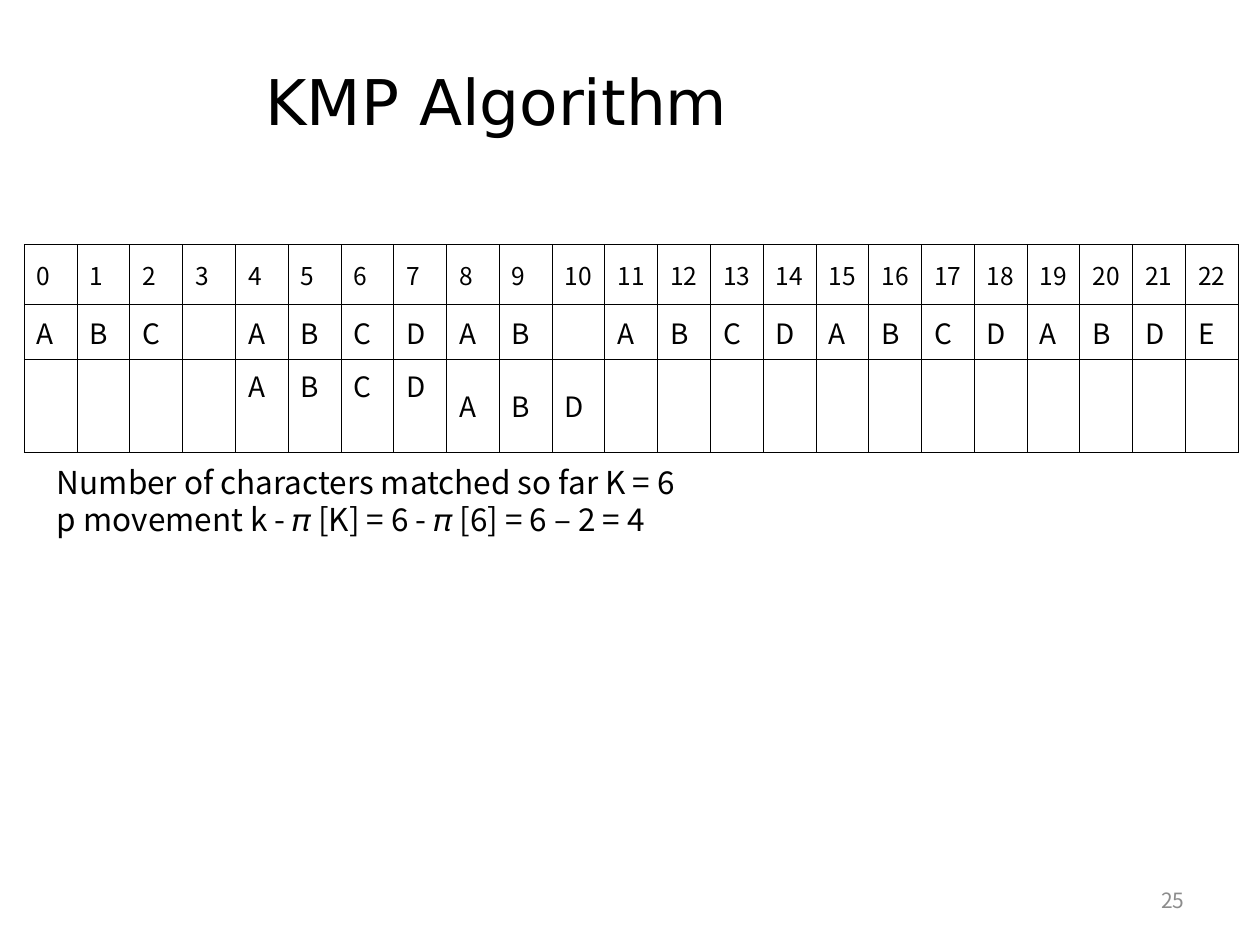
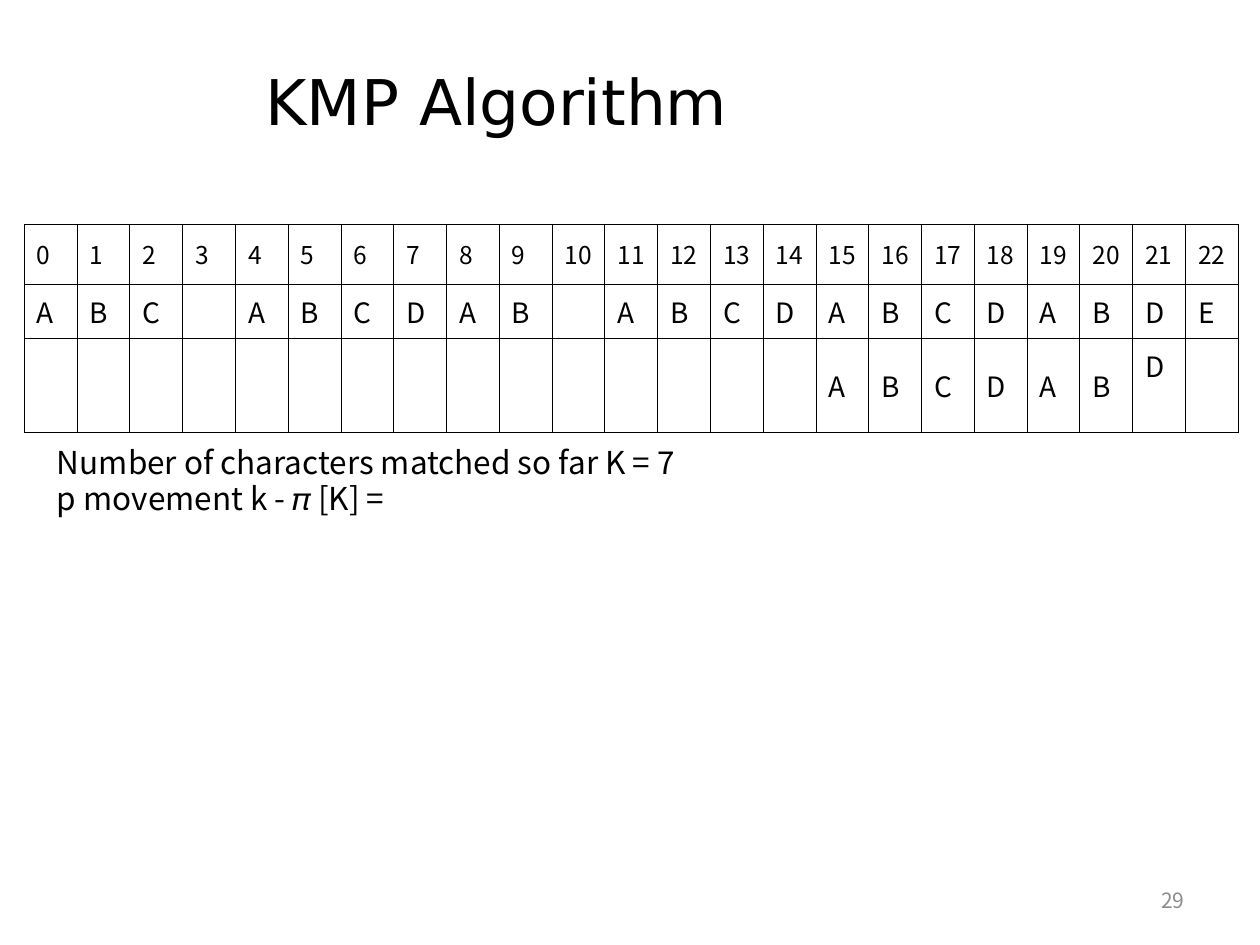
import dataclasses

import pptx
import pptx.dml.color
import pptx.enum.text
import pptx.oxml
import pptx.oxml.ns
import pptx.util
from pptx.util import Cm

ALIGN = pptx.enum.text.PP_ALIGN
ANCHOR = pptx.enum.text.MSO_ANCHOR


@dataclasses.dataclass(frozen=True)
class Theme:
    ink: str = "000000"
    muted: str = "8C8C8C"
    title_font: str = "DejaVu Sans"
    body_font: str = "Noto Sans CJK KR"
    title_size: int = 36
    caption_size: int = 18
    caption_leading: int = 21
    letter_size: int = 16
    index_size: int = 14
    number_size: int = 12
    border_width: float = 0.56


THEME = Theme()

# Content
TEXT = "ABC ABCDAB ABCDABCDABDE"
PATTERN = "ABCDABD"

# Trace table geometry in centimetres
TABLE_LEFT, TABLE_WIDTH = 0.49, 24.48
ROW_HEIGHTS = (1.21, 1.1, 1.88)


def write(frame, text, *, size, font=THEME.body_font, color=THEME.ink,
          align=ALIGN.JUSTIFY, anchor=ANCHOR.MIDDLE, leading=None):
    """Fill a text frame, one paragraph for each line of text."""
    frame.word_wrap = True
    frame.vertical_anchor = anchor
    for position, line in enumerate(text.split("\n")):
        paragraph = frame.add_paragraph() if position else frame.paragraphs[0]
        paragraph.alignment = align
        if leading:
            paragraph.line_spacing = pptx.util.Pt(leading)
        run = paragraph.add_run()
        run.text = line
        run.font.name = font
        run.font.size = pptx.util.Pt(size)
        run.font.color.rgb = pptx.dml.color.RGBColor.from_string(color)


def add_title(slide, text):
    title = slide.shapes.title
    title.left, title.top = Cm(5.1), Cm(0.74)
    title.width, title.height = Cm(17.93), Cm(2.56)
    title.text_frame.auto_size = pptx.enum.text.MSO_AUTO_SIZE.NONE
    write(title.text_frame, text, size=THEME.title_size,
          font=THEME.title_font, align=ALIGN.LEFT)


def add_slide_number(slide, number):
    box = slide.shapes.add_textbox(Cm(18.2), Cm(17.65), Cm(5.93), Cm(1.01))
    write(box.text_frame, str(number), size=THEME.number_size,
          color=THEME.muted, align=ALIGN.RIGHT)


def outline_cell(cell):
    """Draw all four borders of a cell and leave it unfilled."""
    properties = cell._tc.get_or_add_tcPr()
    for side in ("lnL", "lnR", "lnT", "lnB"):
        properties.append(pptx.oxml.parse_xml(
            f'<a:{side} {pptx.oxml.ns.nsdecls("a")} '
            f'w="{pptx.util.Pt(THEME.border_width)}"><a:solidFill>'
            f'<a:srgbClr val="{THEME.ink}"/></a:solidFill></a:{side}>'))
    cell.fill.background()


def add_trace_table(slide, top, shift, raised):
    """Show the text with the pattern under it, moved right by shift.

    The pattern positions in raised sit at the top of their cells.
    """
    trace = slide.shapes.add_table(
        len(ROW_HEIGHTS), len(TEXT), Cm(TABLE_LEFT), Cm(top),
        Cm(TABLE_WIDTH), Cm(sum(ROW_HEIGHTS))).table
    trace.first_row = trace.horz_banding = False
    for row, height in zip(trace.rows, ROW_HEIGHTS):
        row.height = Cm(height)
    for column in trace.columns:
        column.width = Cm(TABLE_WIDTH / len(TEXT))

    shifted_pattern = (" " * shift + PATTERN).ljust(len(TEXT))
    lines = (map(str, range(len(TEXT))), TEXT, shifted_pattern)
    for row_index, line in enumerate(lines):
        size = THEME.letter_size if row_index else THEME.index_size
        for column_index, symbol in enumerate(line):
            cell = trace.cell(row_index, column_index)
            outline_cell(cell)
            cell.margin_right = Cm(0.1)
            if symbol != " ":
                write(cell.text_frame, symbol, size=size)
            is_raised = row_index == 2 and column_index - shift in raised
            cell.vertical_anchor = ANCHOR.TOP if is_raised else ANCHOR.MIDDLE


def add_caption(slide, top, text):
    box = slide.shapes.add_textbox(Cm(0.9), Cm(top), Cm(14.2), Cm(1.8))
    box.text_frame.margin_top, box.text_frame.margin_bottom = Cm(0.2), Cm(0.05)
    write(box.text_frame, text, size=THEME.caption_size,
          leading=THEME.caption_leading)


def add_step(deck, number, table_top, shift, raised, caption):
    slide = deck.slides.add_slide(deck.slide_layouts.get_by_name("Title Only"))
    add_title(slide, "KMP Algorithm")
    add_slide_number(slide, number)
    add_trace_table(slide, table_top, shift, raised)
    add_caption(slide, table_top + sum(ROW_HEIGHTS), caption)


def main():
    deck = pptx.Presentation()
    deck.slide_width, deck.slide_height = Cm(25.4), Cm(19.05)

    # Mismatch after six characters
    add_step(deck, 25, table_top=4.93, shift=4, raised=range(4),
             caption="Number of characters matched so far K = 6\n"
                     "p movement k - 𝜋 [K] = 6 - 𝜋 [6] = 6 – 2 = 4")

    # Full match
    add_step(deck, 29, table_top=4.52, shift=15, raised=[6],
             caption="Number of characters matched so far K = 7\n"
                     "p movement k - 𝜋 [K] =")

    deck.save("out.pptx")


if __name__ == "__main__":
    main()
